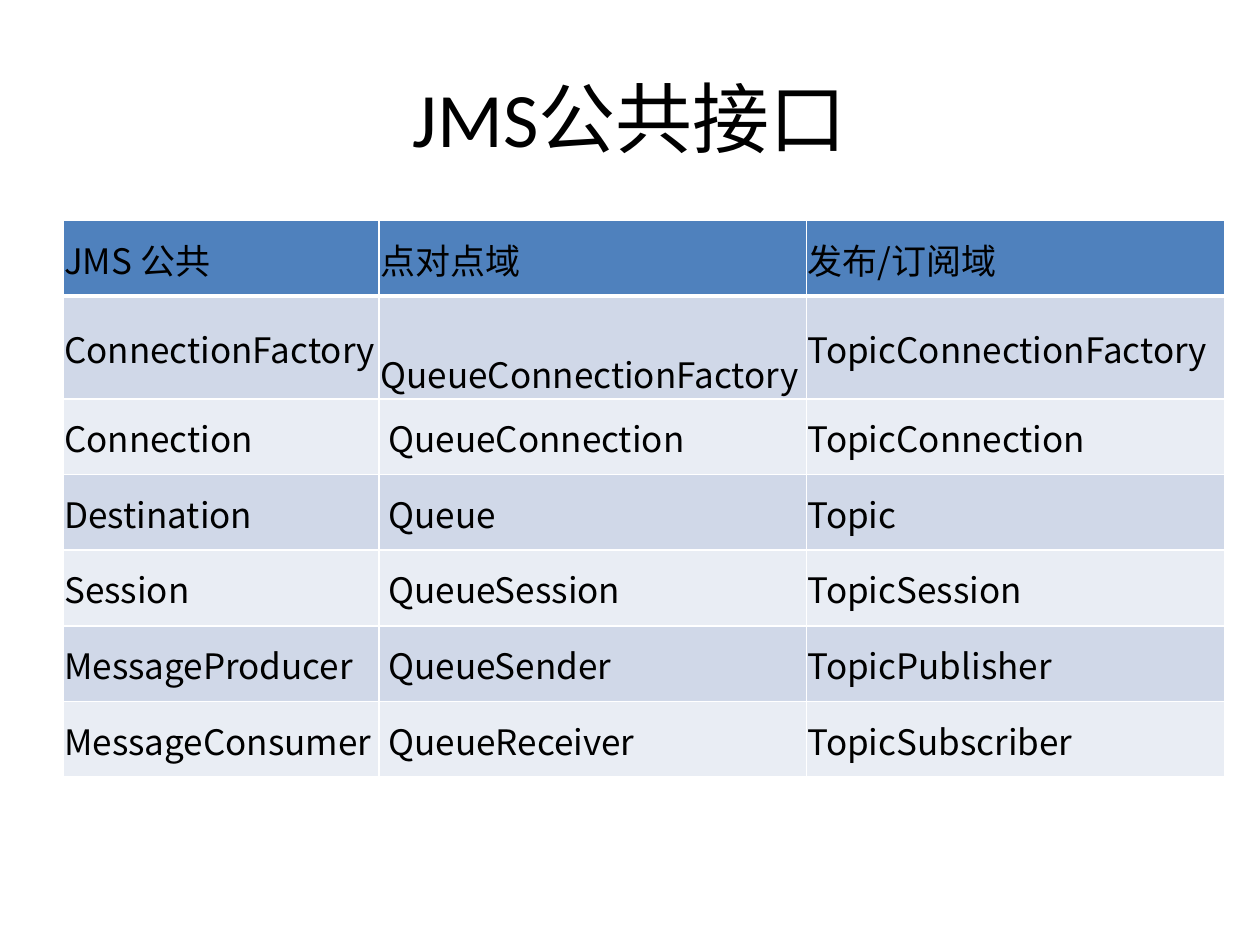
from lxml.etree import SubElement as Sub
from pptx import Presentation
from pptx.dml.color import RGBColor as RGB
from pptx.enum.text import MSO_ANCHOR as Anchor, PP_ALIGN as Align
from pptx.oxml.ns import qn
from pptx.util import Inches, Pt

BLACK = RGB(0x00, 0x00, 0x00)
WHITE = RGB(0xFF, 0xFF, 0xFF)
BLUE = RGB(0x4F, 0x81, 0xBD)
BAND = RGB(0xD0, 0xD8, 0xE8)
PALE = RGB(0xE9, 0xED, 0xF4)
SANS = "Noto Sans CJK SC"

COLS = (2.51, 3.39, 3.32)
HIGH = 0.6
ROWS = (
    ("JMS 公共", "点对点域", "发布/订阅域"),
    ("ConnectionFactory", " QueueConnectionFactory", "TopicConnectionFactory"),
    ("Connection", " QueueConnection", "TopicConnection"),
    ("Destination", " Queue", "Topic"),
    ("Session", " QueueSession", "TopicSession"),
    ("MessageProducer", " QueueSender", "TopicPublisher"),
    ("MessageConsumer", " QueueReceiver", "TopicSubscriber"),
)


def add_run(para, text, size, face):
    """Add one black run with Latin and East Asian fonts."""
    run = para.add_run()
    run.text = text
    font = run.font
    font.size = Pt(size)
    font.name = face
    font.color.rgb = BLACK
    Sub(font._element, qn("a:ea"), typeface=SANS)


def add_title(slide, text):
    """Place and fill the title."""
    title = slide.shapes.title
    title.left, title.top = Inches(0.5), Inches(0.3)
    title.width, title.height = Inches(9), Inches(1.25)
    frame = title.text_frame
    frame.vertical_anchor = Anchor.MIDDLE
    para = frame.paragraphs[0]
    para.alignment = Align.CENTER
    add_run(para, text, 44, "Calibri")


def add_edge(cell, side, width):
    """Draw one white cell border."""
    props = cell._tc.get_or_add_tcPr()
    line = Sub(props, qn(f"a:ln{side}"), w=str(Pt(width)))
    fill = Sub(line, qn("a:solidFill"))
    Sub(fill, qn("a:srgbClr"), val=str(WHITE))


def fill_cell(cell, text, row):
    """Format one cell according to its row."""
    cell.margin_left = cell.margin_right = cell.margin_top = Inches(0.01)
    cell.margin_bottom = 0
    cell.vertical_anchor = Anchor.MIDDLE
    for side in "LRTB":
        thick = (row, side) in ((0, "B"), (1, "T"))
        add_edge(cell, side, 3 if thick else 1)
    cell.fill.solid()
    cell.fill.fore_color.rgb = BLUE if row == 0 else BAND if row % 2 else PALE
    add_run(cell.text_frame.paragraphs[0], text, 20, SANS)


def add_grid(slide):
    """Build the table of interfaces."""
    frame = slide.shapes.add_table(
        len(ROWS), len(COLS), Inches(0.5), Inches(1.75),
        Inches(sum(COLS)), Inches(HIGH * len(ROWS)))
    table = frame.table
    for col, width in zip(table.columns, COLS):
        col.width = Inches(width)
    for row, texts in enumerate(ROWS):
        table.rows[row].height = Inches(HIGH)
        for col, text in enumerate(texts):
            fill_cell(table.cell(row, col), text, row)


def main():
    """Build and save the slide."""
    deck = Presentation()
    deck.slide_width, deck.slide_height = Inches(10), Inches(7.5)
    slide = deck.slides.add_slide(deck.slide_layouts[5])
    back = slide.background.fill
    back.solid()
    back.fore_color.rgb = WHITE
    add_title(slide, "JMS公共接口")
    add_grid(slide)
    deck.save("out.pptx")


if __name__ == "__main__":
    main()
